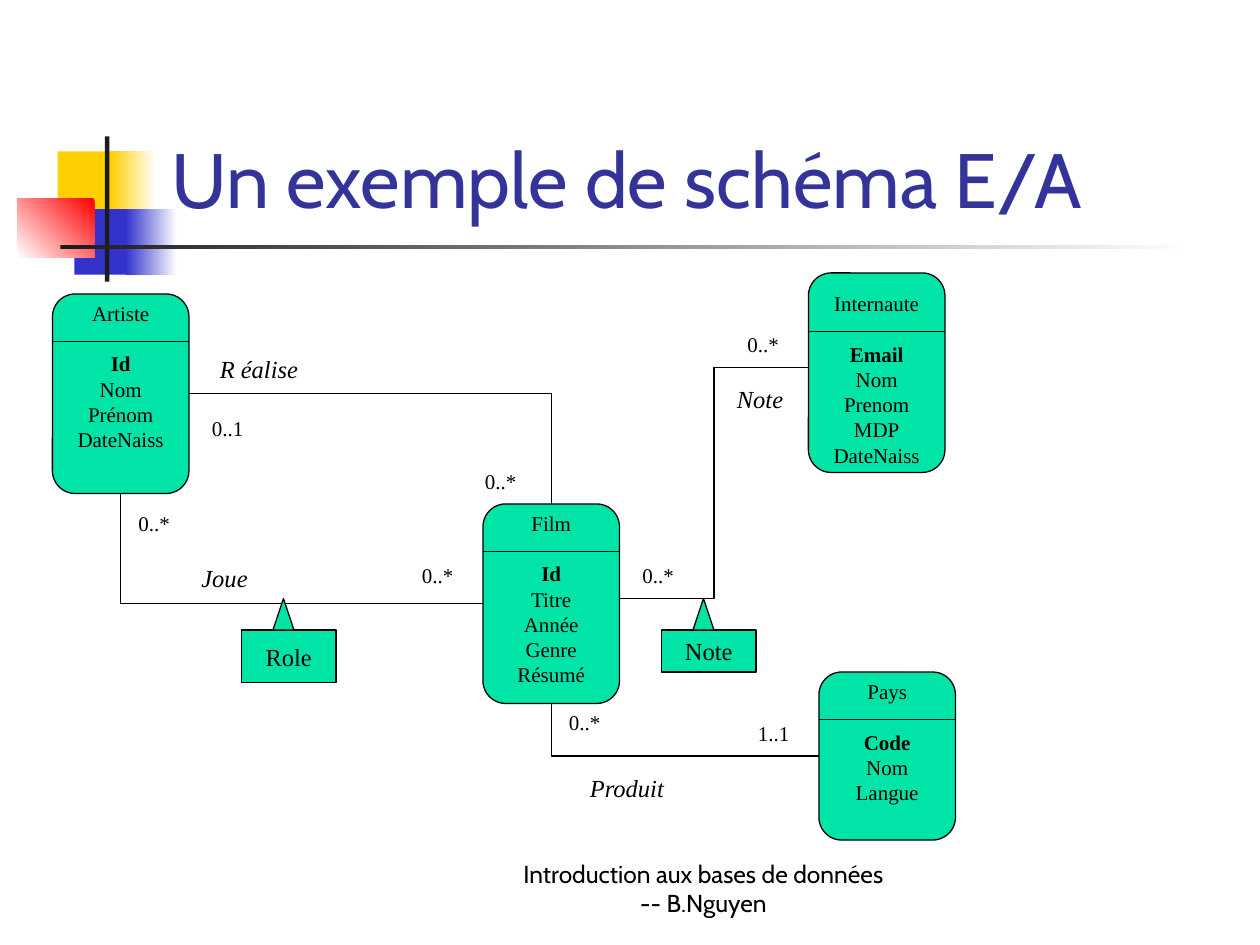
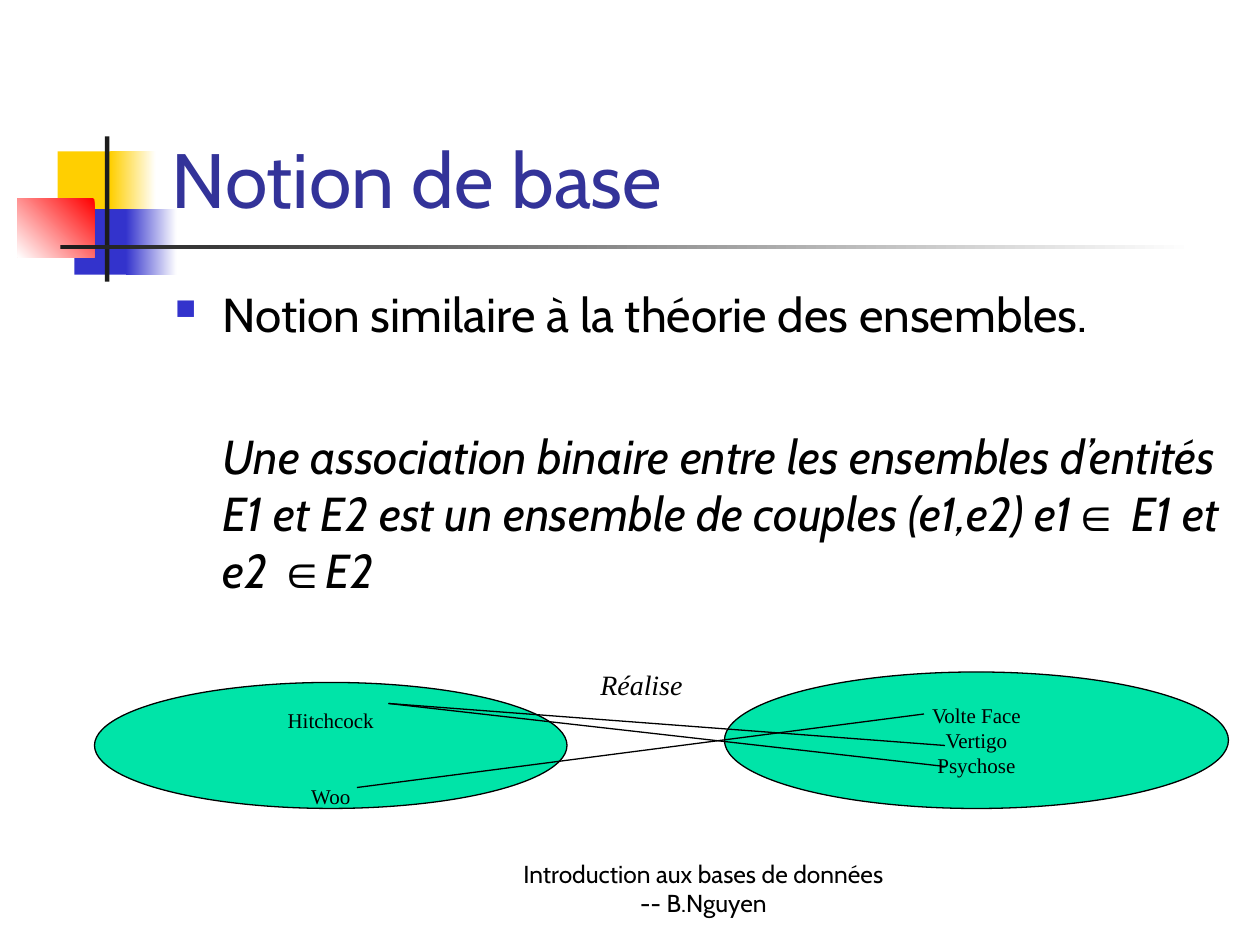
from lxml.etree import SubElement
from pptx import Presentation
from pptx.dml.color import RGBColor
from pptx.enum.shapes import MSO_CONNECTOR, MSO_SHAPE
from pptx.enum.text import MSO_ANCHOR, MSO_AUTO_SIZE, PP_ALIGN
from pptx.oxml.ns import qn
from pptx.util import Pt

BLACK, WHITE = "000000", "FFFFFF"
GREEN, YELLOW, BLUE, RED, CHARCOAL = "00E4A8", "FFCF01", "3333CC", "FF0000", "1C1C1C"
TITLE_COLOR = "333399"
SANS, SERIF, SYMBOL = "Cabin", "Times New Roman", "Arial"
TOP, LEFT, BOTTOM, RIGHT = range(4)
LINE_FACTOR = 1.2
ENTITY_WIDTH = 78
FOOTER = "Introduction aux bases de données -- B.Nguyen"


def rgb(color):
    """Turn a hex string into a colour."""
    return RGBColor.from_string(color)


def points(values):
    """Turn plain numbers into point lengths."""
    return [Pt(value) for value in values]


def style(span, size, name=SERIF, color=BLACK, bold=False, italic=False):
    """Format the font of one run."""
    font = span.font
    font.size, font.name = Pt(size), name
    font.bold, font.italic = bold, italic
    font.color.rgb = rgb(color)


def add_band(page, frame, color, fade_angle=None):
    """Draw a borderless rectangle, fading to white if an angle is given."""
    band = page.shapes.add_shape(MSO_SHAPE.RECTANGLE, *points(frame))
    band.shadow.inherit = False
    band.line.fill.background()
    if fade_angle is None:
        band.fill.solid()
        band.fill.fore_color.rgb = rgb(color)
    else:
        band.fill.gradient()
        band.fill.gradient_angle = fade_angle
        for stop, shade in zip(band.fill.gradient_stops, (color, WHITE)):
            stop.color.rgb = rgb(shade)


def add_decoration(page):
    """Draw the coloured squares and rules behind the title."""
    add_band(page, (33, 86.5, 34.5, 37.5), YELLOW)
    add_band(page, (63, 86.5, 26, 37.5), YELLOW, 0)
    add_band(page, (42.5, 119.5, 33, 37.5), BLUE)
    add_band(page, (72, 119.5, 29, 37.5), BLUE, 0)
    add_band(page, (10, 113.5, 44, 33.5), RED, 225)
    add_band(page, (60, 78, 2.5, 83), CHARCOAL)
    add_band(page, (34.5, 140, 648, 2.5), CHARCOAL, 0)


def add_text(page, frame, text, size, name=SERIF, italic=False):
    """Add a wrapping text box and return it."""
    box = page.shapes.add_textbox(*points(frame))
    box.text_frame.word_wrap = True
    box.text_frame.text = text
    style(box.text_frame.paragraphs[0].runs[0], size, name, italic=italic)
    return box


def add_page(deck, heading):
    """Add a slide with decoration, title and footer."""
    page = deck.slides.add_slide(deck.slide_layouts[5])
    add_decoration(page)
    title = page.shapes.title
    title.left, title.top, title.width, title.height = points((91, 16.5, 613.5, 115))
    frame = title.text_frame
    frame.text = heading
    frame.auto_size = MSO_AUTO_SIZE.NONE
    frame.vertical_anchor = MSO_ANCHOR.BOTTOM
    para = frame.paragraphs[0]
    para.alignment = PP_ALIGN.LEFT
    style(para.runs[0], 44, SANS, TITLE_COLOR)
    title.element.getparent().append(title.element)
    footer = add_text(page, (288, 492, 228, 36), FOOTER, 14, SANS)
    footer.text_frame.vertical_anchor = MSO_ANCHOR.BOTTOM
    footer.text_frame.paragraphs[0].alignment = PP_ALIGN.CENTER
    return page


def add_green_shape(page, kind, frame, lines=(), size=12, top_inset=None):
    """Draw an outlined green shape with one centred paragraph per line."""
    shape = page.shapes.add_shape(kind, *points(frame))
    shape.shadow.inherit = False
    shape.fill.solid()
    shape.fill.fore_color.rgb = rgb(GREEN)
    shape.line.color.rgb = rgb(BLACK)
    shape.line.width = Pt(0.75)
    if not lines:
        return shape
    text = shape.text_frame
    text.margin_left = text.margin_right = text.margin_bottom = 0
    text.margin_top = Pt(top_inset or 0)
    text.vertical_anchor = MSO_ANCHOR.MIDDLE if top_inset is None else MSO_ANCHOR.TOP
    text.text = "\n".join(lines)
    for para in text.paragraphs:
        para.alignment = PP_ALIGN.CENTER
        para.line_spacing = Pt(size * LINE_FACTOR)
        style(para.runs[0], size)
    return shape


def add_line(page, begin, end, kind=MSO_CONNECTOR.STRAIGHT):
    """Draw a thin black connector."""
    line = page.shapes.add_connector(kind, *points((*begin, *end)))
    line.line.color.rgb = rgb(BLACK)
    line.line.width = Pt(0.75)
    SubElement(line.element.spPr, qn("a:effectLst"))
    return line


def add_corner(page, begin, begin_side, end, end_side):
    """Join two shapes by a single right-angle bend, horizontal part first."""
    line = add_line(page, (0, 0), (1, 1), MSO_CONNECTOR.ELBOW)
    line.begin_connect(begin, begin_side)
    line.end_connect(end, end_side)
    line.element.spPr.find(qn("a:prstGeom")).set("prst", "bentConnector2")


def add_entity(page, left, top, height, lines, top_inset=0):
    """Draw an entity: name, divider, bold key and attributes."""
    entity = add_green_shape(page, MSO_SHAPE.FLOWCHART_ALTERNATE_PROCESS,
                             (left, top, ENTITY_WIDTH, height), lines, top_inset=top_inset)
    key = entity.text_frame.paragraphs[1]
    key.space_before = Pt(12 * LINE_FACTOR)
    key.runs[0].font.bold = True
    divider = top + top_inset + 27
    add_line(page, (left, divider), (left + ENTITY_WIDTH, divider))
    return entity


def add_callout(page, left, height, label):
    """Draw an association class with its pointer."""
    add_green_shape(page, MSO_SHAPE.RECTANGLE, (left, 360, 54, height), [label], 14)
    add_green_shape(page, MSO_SHAPE.ISOSCELES_TRIANGLE, (left + 18, 342, 12, 18))


def build_schema(deck):
    """Build the entity-association diagram."""
    page = add_page(deck, "Un exemple de schéma E/A")
    artist = add_entity(page, 30, 168, 114, ["Artiste", "Id", "Nom", "Prénom", "DateNaiss"])
    film = add_entity(page, 276, 288, 114, ["Film", "Id", "Titre", "Année", "Genre", "Résumé"])
    add_entity(page, 462, 156, 114,
               ["Internaute", "Email", "Nom", "Prenom", "MDP", "DateNaiss"], 6.5)
    country = add_entity(page, 468, 384, 96, ["Pays", "Code", "Nom", "Langue"])

    add_corner(page, artist, RIGHT, film, TOP)
    add_corner(page, film, LEFT, artist, BOTTOM)
    add_corner(page, country, LEFT, film, BOTTOM)
    add_line(page, (462, 210), (354, 342), MSO_CONNECTOR.ELBOW)

    many = [(270, 264), (72, 288), (234, 318), (360, 318), (420, 186), (318, 402)]
    cardinalities = [(*place, "0..*") for place in many]
    cardinalities += [(114, 234, "0..1"), (426, 408, "1..1")]
    for left, top, label in cardinalities:
        add_text(page, (left, top, 36, 21.5), label, 12)

    associations = [(118.5, 199, 60, "R éalise"), (108, 318, 42, "Joue"),
                    (414, 216, 42, "Note"), (330, 438, 58, "Produit")]
    for left, top, width, label in associations:
        add_text(page, (left, top, width, 24.5), label, 14, italic=True)

    add_callout(page, 138, 30, "Role")
    add_callout(page, 378, 24, "Note")


def add_bullet(para):
    """Give a paragraph a small blue square bullet."""
    properties = para._p.get_or_add_pPr()
    color = SubElement(properties, qn("a:buClr"))
    SubElement(color, qn("a:srgbClr"), val=BLUE)
    SubElement(properties, qn("a:buSzPct"), val="60000")
    SubElement(properties, qn("a:buChar"), char="■")


def add_definition(page):
    """Write the bullet and the definition of a binary association."""
    box = add_text(page, (93, 159, 614, 212), "Notion similaire à la théorie des ensembles.",
                   27.2, SANS)
    first = box.text_frame.paragraphs[0]
    add_bullet(first)
    second = box.text_frame.add_paragraph()
    second.space_before = Pt(48.5)
    for para, indent in ((first, -27), (second, 0)):
        properties = para._p.get_or_add_pPr()
        properties.set("marL", str(Pt(27)))
        properties.set("indent", str(Pt(indent)))
    pieces = [
        ("Une association binaire entre les ensembles d’entités E1 et E2 "
         "est un ensemble de couples (e1,e2) e1", SANS),
        ("∈", SYMBOL), (" E1 et e2 ", SANS), ("∈", SYMBOL), ("E2", SANS),
    ]
    for text, name in pieces:
        span = second.add_run()
        span.text = text
        style(span, 27.2, name, italic=True)


def build_notion(deck):
    """Build the set-theory view of an association."""
    page = add_page(deck, "Notion de base")
    add_definition(page)
    directors = add_green_shape(page, MSO_SHAPE.OVAL, (54, 390, 270, 72),
                                ["Hitchcock", "Woo"], top_inset=4)
    directors.text_frame.paragraphs[1].space_before = Pt(2 * 12 * LINE_FACTOR)
    add_green_shape(page, MSO_SHAPE.OVAL, (414, 384, 288, 78),
                    ["Volte Face", "Vertigo", "Psychose"], top_inset=6)
    hitchcock, woo = (222, 402), (204, 450)
    for director, film in ((hitchcock, (540, 426)), (hitchcock, (540, 438)), (woo, (528, 408))):
        add_line(page, director, film)
    add_text(page, (336, 378, 63, 26.5), "Réalise", 16, italic=True)


def main():
    """Build and save the deck."""
    deck = Presentation()
    deck.slide_width, deck.slide_height = Pt(720), Pt(540)
    build_schema(deck)
    build_notion(deck)
    deck.save("out.pptx")


if __name__ == "__main__":
    main()
